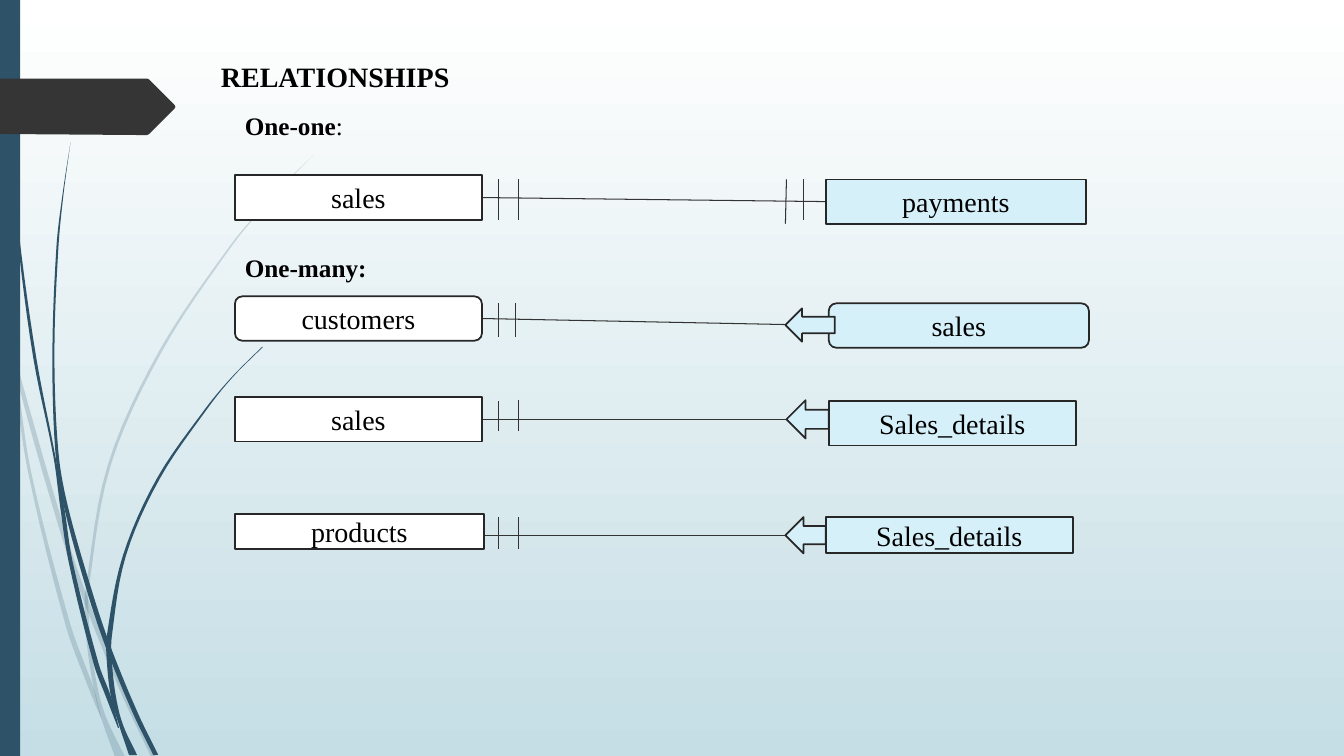
from lxml import etree
from pptx import Presentation
from pptx.dml.color import RGBColor
from pptx.enum.shapes import MSO_CONNECTOR, MSO_SHAPE
from pptx.enum.text import MSO_ANCHOR, PP_ALIGN
from pptx.oxml.ns import qn
from pptx.util import Pt

PX = 9144
FONT = "Times New Roman"
RECT = MSO_SHAPE.RECTANGLE
ROUNDED = MSO_SHAPE.ROUNDED_RECTANGLE
LEFT_ARROW = MSO_SHAPE.LEFT_ARROW
STRAIGHT = MSO_CONNECTOR.STRAIGHT
LEFT, CENTER = PP_ALIGN.LEFT, PP_ALIGN.CENTER
TOP, MIDDLE = MSO_ANCHOR.TOP, MSO_ANCHOR.MIDDLE

COLORS = {
    "sky_top": "FFFFFF",
    "sky_bottom": "C5DEE5",
    "stem": "2E5369",
    "tag": "353535",
    "parent": "FFFFFF",
    "child": "D6F0FA",
    "border": "272727",
    "link": "333333",
    "text": "000000",
}

FADED_STEMS = [
    [(282, 0, 1), (322, 5, 9), (350, 11, 12), (376, 14, 17), (469, 28, 31),
     (620, 65, 70), (683, 88, 93), (714, 101, 101)],
    [(345, 14, 14), (376, 17, 21), (522, 58, 63), (599, 84, 89),
     (692, 122, 127), (751, 150, 155)],
    [(153, 312, 312), (175, 289, 290), (198, 267, 268), (244, 228, 230),
     (348, 158, 161), (461, 107, 110), (584, 85, 88), (610, 84, 88),
     (646, 87, 91), (683, 93, 97), (711, 100, 105), (751, 114, 124)],
]
DARK_STEMS = [
    [(0, 3, 4), (110, 7, 8), (233, 17, 19), (355, 33, 36), (453, 53, 55),
     (505, 60, 64), (557, 68, 72), (659, 93, 98), (691, 105, 110),
     (722, 117, 118)],
    [(141, 70, 70), (193, 62, 63), (245, 56, 58), (349, 52, 54),
     (449, 55, 58), (505, 64, 68), (592, 88, 93), (645, 106, 111),
     (708, 132, 137), (749, 152, 157)],
    [(344, 260, 261), (374, 230, 231), (405, 204, 206), (474, 156, 159),
     (551, 122, 125), (631, 106, 111), (656, 106, 111), (691, 110, 115),
     (719, 118, 122), (749, 128, 136)],
]
TAG_OUTLINE = [(0, 78), (146, 78), (148, 79), (173, 104), (174, 106),
               (173, 108), (148, 133), (146, 134), (136, 134), (0, 133)]

ENTITIES = [
    ("sales", RECT, "parent", (233, 174, 245, 44)),
    ("payments", RECT, "child", (819, 178, 258, 44)),
    ("customers", ROUNDED, "parent", (233, 294, 245, 44)),
    ("sales", ROUNDED, "child", (822, 301, 258, 44)),
    ("sales", RECT, "parent", (233, 394, 245, 44)),
    ("Sales_details", RECT, "child", (822, 398, 245, 44)),
    ("products", RECT, "parent", (233, 510, 247, 35)),
    ("Sales_details", RECT, "child", (819, 513, 245, 36)),
]
MANY_ARROWS = [(779, 306, 49, 33), (780, 397, 42, 38), (779, 513, 40, 36)]
LINKS = [(478, 196, 819, 200), (478, 316, 779, 322),
         (478, 416, 780, 416), (480, 531, 779, 531)]
ONE_MARKS = [
    (494, 178, 494, 218), (514, 178, 514, 218),
    (797, 178, 797, 218), (780, 178, 779, 222),
    (494, 301, 494, 334), (511, 301, 511, 334),
    (494, 398, 494, 428), (514, 397, 514, 428),
    (494, 513, 494, 545), (514, 513, 514, 545),
]


def emu(lengths):
    return [round(length * PX) for length in lengths]


def rgb(color):
    return RGBColor.from_string(COLORS[color])


def apply(target, values):
    for name, value in values.items():
        setattr(target, name, value)


def write(frame, runs, size, align, anchor, wrap=True):
    apply(frame, {"word_wrap": wrap, "vertical_anchor": anchor})
    paragraph = frame.paragraphs[0]
    paragraph.alignment = align
    for words, bold in runs:
        run = paragraph.add_run()
        run.text = words
        apply(run.font, {"name": FONT, "size": Pt(size), "bold": bold})
        run.font.color.rgb = rgb("text")


def paint(shape, fill, border=None):
    shape.shadow.inherit = False
    shape.fill.solid()
    shape.fill.fore_color.rgb = rgb(fill)
    if border:
        shape.line.color.rgb = rgb(border)
        shape.line.width = Pt(1.25)
    else:
        shape.line.fill.background()


def add_block(slide, kind, box, fill, border=None):
    block = slide.shapes.add_shape(kind, *emu(box))
    paint(block, fill, border)
    return block


def add_outline(slide, points, fill, opacity=100):
    corners = [emu(point) for point in points]
    builder = slide.shapes.build_freeform(*corners[0])
    builder.add_line_segments(corners[1:], close=True)
    outline = builder.convert_to_shape()
    paint(outline, fill)
    if opacity < 100:
        tint = outline.fill._xPr.find(qn("a:solidFill"))[0]
        etree.SubElement(tint, qn("a:alpha"), val=str(opacity * 1000))


def smooth_edge(rows, side, steps=6):
    last = len(rows) - 1

    def slope(i):
        before, after = rows[max(i - 1, 0)], rows[min(i + 1, last)]
        return (after[side] - before[side]) / (after[0] - before[0])

    edge = []
    for i in range(last):
        y, x = rows[i][0], rows[i][side]
        drop, shift = rows[i + 1][0] - y, rows[i + 1][side] - x
        for step in range(steps):
            t = step / steps
            bend = (t * (1 - t) ** 2 * slope(i) - t * t * (1 - t) * slope(i + 1)) * drop
            edge.append((x + shift * t * t * (3 - 2 * t) + bend, y + drop * t))
    return edge + [(rows[last][side], rows[last][0])]


def add_stem(slide, rows, opacity):
    outline = smooth_edge(rows, 1) + smooth_edge(rows, 2)[::-1]
    add_outline(slide, outline, "stem", opacity)


def add_link(slide, ends):
    link = slide.shapes.add_connector(STRAIGHT, *emu(ends))
    link.line.color.rgb = rgb("link")
    link.line.width = Pt(0.75)
    etree.SubElement(link._element.spPr, qn("a:effectLst"))


def add_caption(slide, box, runs):
    caption = slide.shapes.add_textbox(*emu(box))
    write(caption.text_frame, runs, 18, LEFT, TOP, wrap=False)


def add_title(slide, words, box):
    title = slide.shapes.title
    apply(title, dict(zip(("left", "top", "width", "height"), emu(box))))
    write(title.text_frame, [(words, True)], 20, LEFT, TOP)


def paint_background(slide):
    fill = slide.background.fill
    fill.gradient()
    fill.gradient_angle = 270
    for stop, position, color in zip(fill.gradient_stops, (0, 1), ("sky_top", "sky_bottom")):
        stop.position = position
        stop.color.rgb = rgb(color)


def main():
    deck = Presentation()
    apply(deck, dict(zip(("slide_width", "slide_height"), emu((1333, 750)))))
    slide = deck.slides.add_slide(deck.slide_layouts[5])
    paint_background(slide)
    for stems, opacity in ((FADED_STEMS, 20), (DARK_STEMS, 100)):
        for rows in stems:
            add_stem(slide, rows, opacity)
    add_block(slide, RECT, (0, 0, 20, 750), "stem")
    add_outline(slide, TAG_OUTLINE, "tag")
    add_title(slide, "RELATIONSHIPS", (209, 54, 270, 44))
    add_caption(slide, (233, 105, 125, 40), [("One-one", True), (":", False)])
    add_caption(slide, (233, 245, 142, 40), [("One-many:", True)])
    for ends in LINKS + ONE_MARKS:
        add_link(slide, ends)
    for words, kind, role, box in ENTITIES:
        entity = add_block(slide, kind, box, role, "border")
        write(entity.text_frame, [(words, False)], 20, CENTER, MIDDLE)
    for box in MANY_ARROWS:
        add_block(slide, LEFT_ARROW, box, "child", "border")
    deck.save("out.pptx")


if __name__ == "__main__":
    main()
